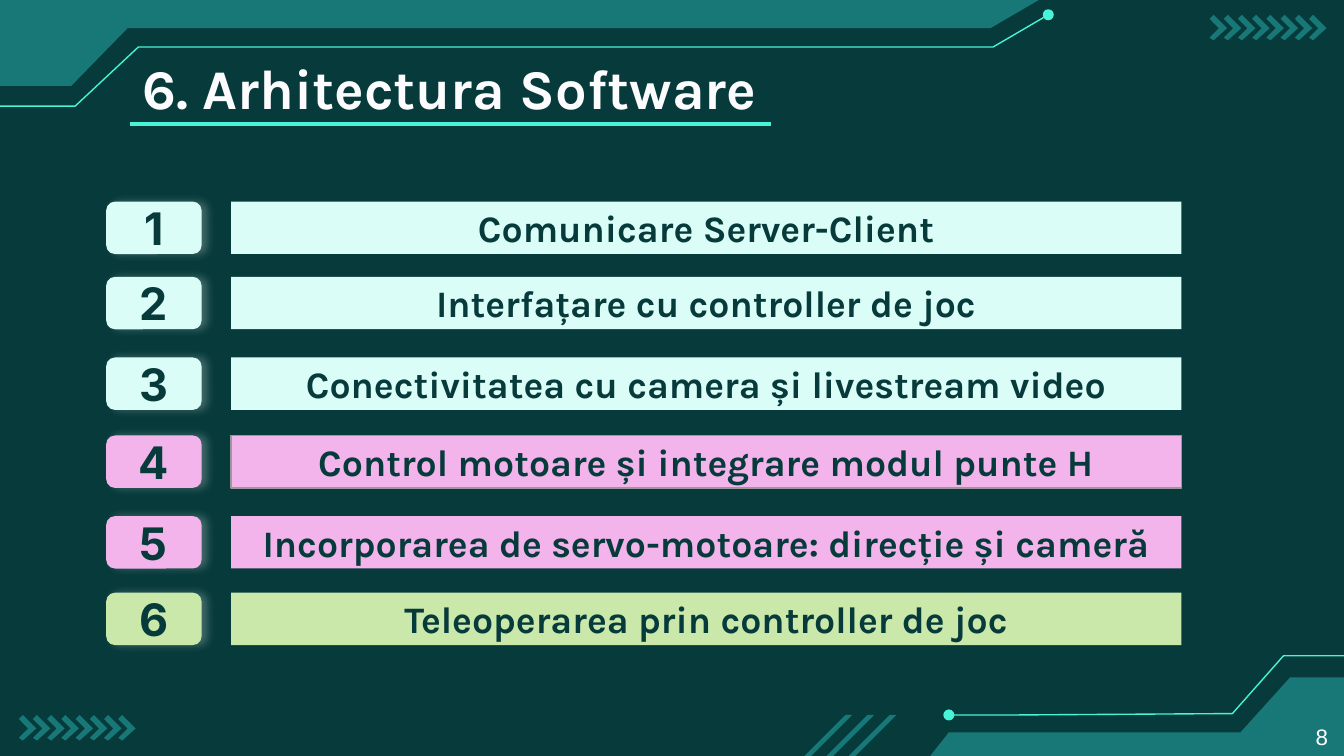
from lxml import etree
from pptx import Presentation
from pptx.dml.color import RGBColor
from pptx.enum import shapes, text
from pptx.oxml import parse_xml
from pptx.oxml.ns import qn
from pptx.util import Inches, Pt

DARK, TEAL, NEON = "073B3B", "187777", "49F3D7"
MINT, PINK, GREEN = "DBFDF7", "F2B4EB", "CAE8AA"

ROWS = [  # top, label, fill, outline
    (1.5, "Comunicare Server-Client", MINT, None),
    (2.06, "Interfațare cu controller de joc", MINT, None),
    (2.66, "Conectivitatea cu camera și livestream video", MINT, None),
    (3.24, "Control motoare și integrare modul punte H", PINK, "999999"),
    (3.84, "Incorporarea de servo-motoare: direcție și cameră", PINK, None),
    (4.41, "Teleoperarea prin controller de joc", GREEN, None),
]
TRACKS = [
    [(0, 0.79), (0.56, 0.79), (1.03, 0.35), (7.39, 0.35), (7.8, 0.11)],
    [(10.01, 4.88), (9.55, 4.88), (9.17, 5.31), (7.58, 5.32), (7.06, 5.32)],
]
CORNERS = [
    [(0, 0.64), (0.53, 0.64), (0.95, 0.21), (7.37, 0.21), (7.73, 0), (0, 0)],
    [(10.01, 5.04), (9.6, 5.04), (9.23, 5.45), (7.06, 5.45), (6.91, 5.64), (10.01, 5.64)],
]
CHEVRON = [(0.03, 0), (0, 0.03), (0.07, 0.1), (0, 0.17), (0.03, 0.19), (0.13, 0.1)]
STRIPE = [(0.32, 0), (0.37, 0), (0.05, 0.32), (0, 0.32)]


def rgb(color):
    return RGBColor.from_string(color)


def paint(shape, fill=None, line=None):
    shape.shadow.inherit = False
    if fill:
        shape.fill.solid()
        shape.fill.fore_color.rgb = rgb(fill)
    else:
        shape.fill.background()
    if line:
        shape.line.color.rgb = rgb(line)
        shape.line.width = Pt(0.75)
    else:
        shape.line.fill.background()


def add_outline(slide, points, closed):
    corners = [(Inches(x), Inches(y)) for x, y in points]
    builder = slide.shapes.build_freeform(*corners[0], scale=1.0)
    builder.add_line_segments(corners[1:], close=closed)
    return builder.convert_to_shape()


def add_polygon(slide, points, left=0, top=0):
    moved = [(left + x, top + y) for x, y in points]
    paint(add_outline(slide, moved, True), TEAL)


def add_track(slide, points):
    """Thin open line that ends in a dot."""
    track = add_outline(slide, points, False)
    paint(track, line=NEON)
    etree.SubElement(track.line._get_or_add_ln(), qn("a:tailEnd"), type="oval")


def write(shape, words, size, font, color, align, anchor=text.MSO_ANCHOR.MIDDLE, bold=True):
    frame = shape.text_frame
    frame.word_wrap = True
    frame.vertical_anchor = anchor
    frame.margin_left = frame.margin_right = Inches(0.1)
    frame.margin_top = frame.margin_bottom = Inches(0.1)
    paragraph = frame.paragraphs[0]
    paragraph.text = words
    paragraph.alignment = align
    paragraph.font.size = Pt(size)
    paragraph.font.name = font
    paragraph.font.bold = bold
    paragraph.font.color.rgb = rgb(color)
    return paragraph


def add_box(slide, kind, left, top, width, words, size, font, fill, line=None):
    box = slide.shapes.add_shape(kind, Inches(left), Inches(top), Inches(width), Inches(0.39))
    paint(box, fill, line)
    write(box, words, size, font, DARK, text.PP_ALIGN.CENTER)
    return box


def add_glow(shape):
    """Soft light shadow to the right of the shape."""
    effects = shape._element.spPr.find(qn("a:effectLst"))
    effects.append(parse_xml(
        '<a:outerShdw xmlns:a="http://schemas.openxmlformats.org/drawingml/2006/main" '
        f'blurRad="{Pt(4.5)}" dist="{Pt(3)}" dir="{359 * 60000}" algn="bl" rotWithShape="0">'
        '<a:srgbClr val="FCFCFE"><a:alpha val="24000"/></a:srgbClr></a:outerShdw>'))


def add_decor(slide):
    for points in TRACKS:
        add_track(slide, points)
    for points in CORNERS:
        add_polygon(slide, points)
    for i in range(3):
        add_polygon(slide, STRIPE, 5.97 + 0.33 * i / 2, 5.32)
    for left, top in [(9, 0.11), (0.14, 5.32)]:
        for i in range(8):
            add_polygon(slide, CHEVRON, left + 0.74 * i / 7, top)


def add_title(slide, words):
    title = slide.shapes.add_textbox(Inches(0.79), Inches(0.3), Inches(8.43), Inches(0.47))
    paragraph = write(title, words, 30, "Karla", "FCFCFE", text.PP_ALIGN.LEFT,
                      text.MSO_ANCHOR.TOP)
    properties = paragraph._p.get_or_add_pPr()
    properties.set("marL", str(Inches(0.17)))
    properties.set("indent", "0")

    underline = slide.shapes.add_connector(
        shapes.MSO_CONNECTOR.STRAIGHT, Inches(0.97), Inches(0.92), Inches(5.74), Inches(0.92))
    underline.line.color.rgb = rgb(NEON)
    underline.line.width = Pt(2.25)
    etree.SubElement(underline._element.spPr, qn("a:effectLst"))


def add_row(slide, number, top, label, fill, outline):
    badge = add_box(slide, shapes.MSO_SHAPE.ROUNDED_RECTANGLE, 0.79, top, 0.71,
                    str(number), 24, "Inter", fill)
    add_glow(badge)
    add_box(slide, shapes.MSO_SHAPE.RECTANGLE, 1.72, top, 7.07, label, 20, "Karla", fill, outline)


def add_page_number(slide, number):
    page = slide.shapes.add_textbox(Inches(7.73), Inches(5.33), Inches(2.25), Inches(0.3))
    write(page, number, 12, "Arial", "FDFDFE", text.PP_ALIGN.RIGHT, bold=False)


def main():
    deck = Presentation()
    deck.slide_width = Inches(10)
    deck.slide_height = deck.slide_width * 9 // 16
    slide = deck.slides.add_slide(deck.slide_layouts[6])
    slide.background.fill.solid()
    slide.background.fill.fore_color.rgb = rgb(DARK)

    add_decor(slide)
    add_title(slide, "6. Arhitectura Software")
    for number, row in enumerate(ROWS, 1):
        add_row(slide, number, *row)
    add_page_number(slide, "8")
    deck.save("out.pptx")


if __name__ == "__main__":
    main()
